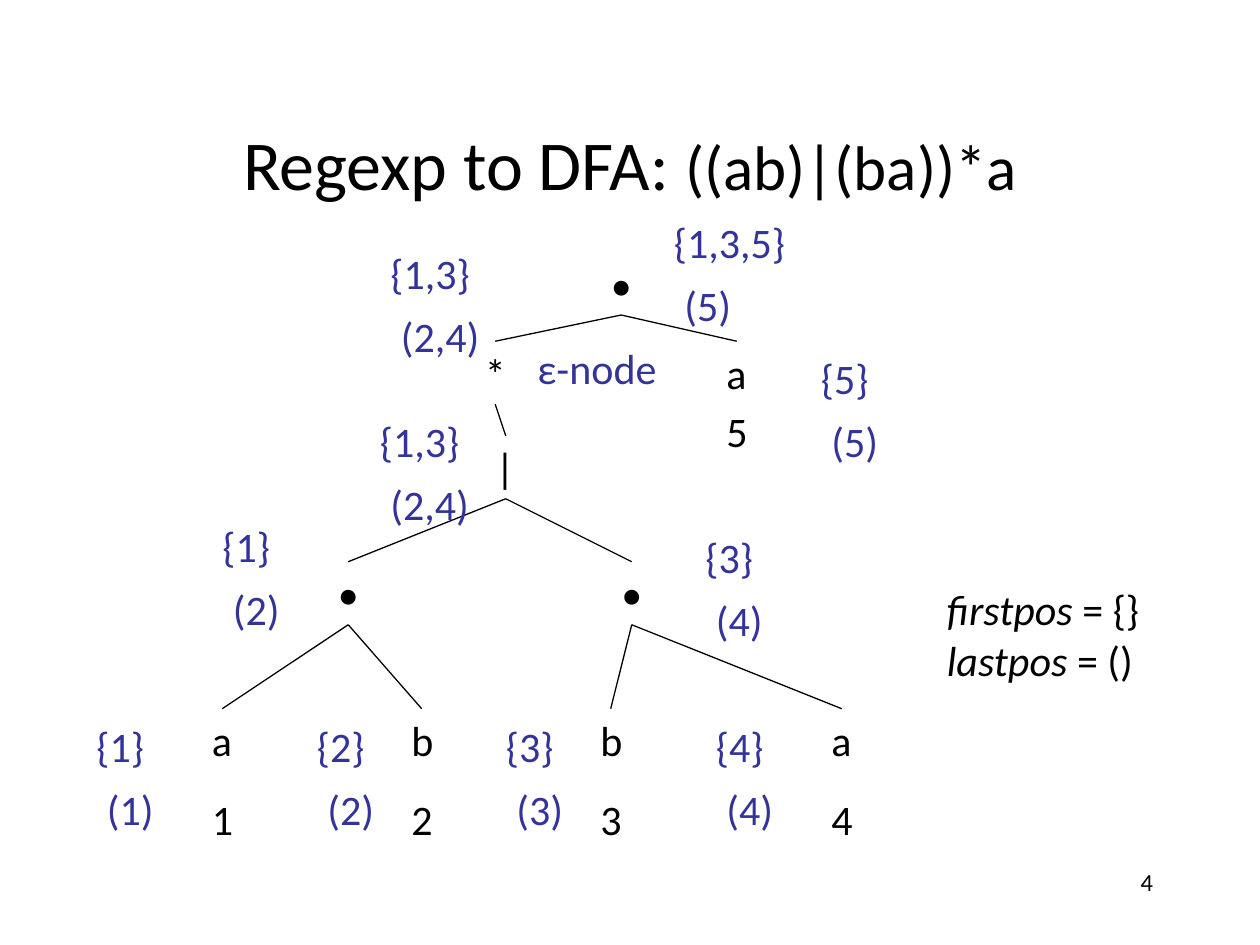
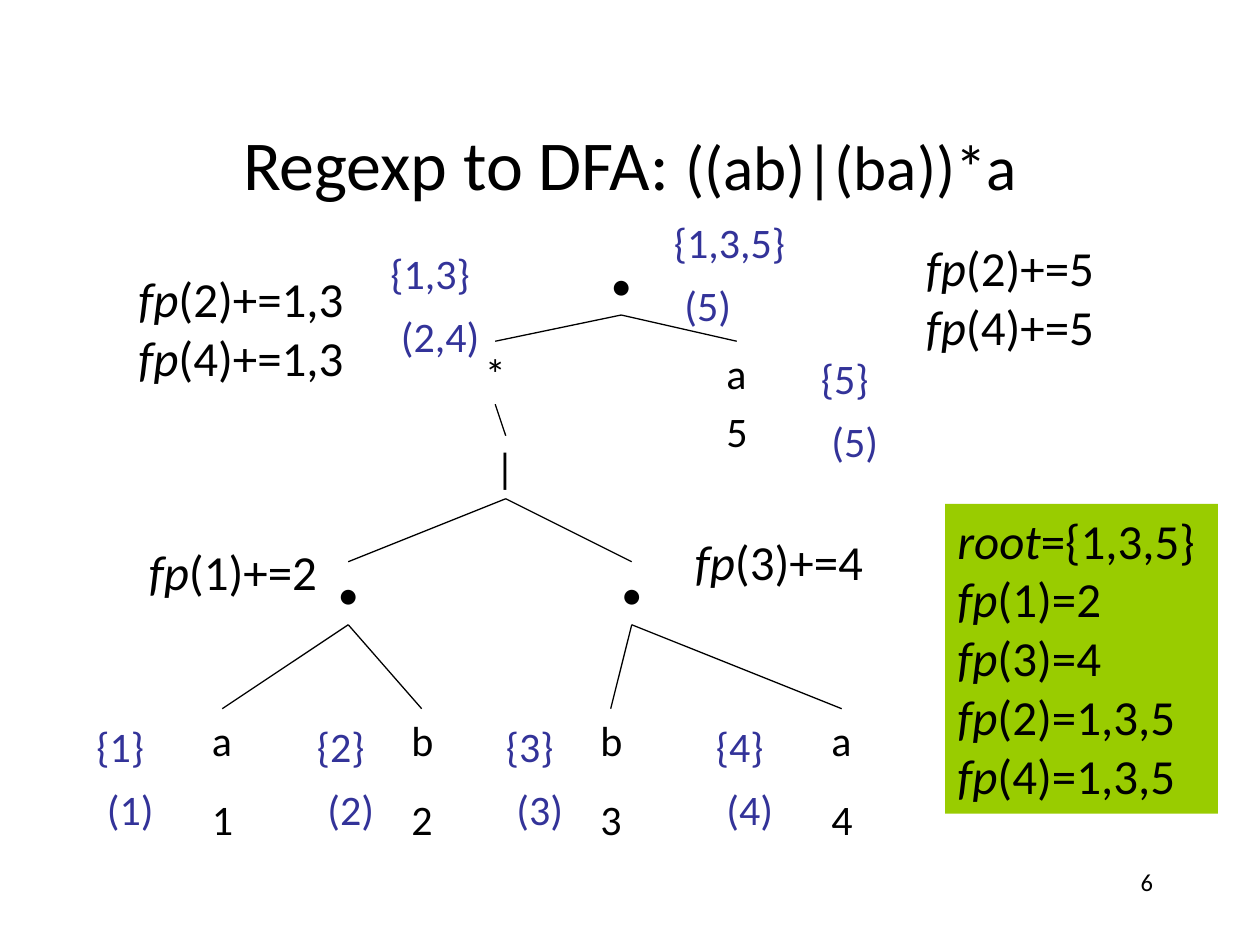
import dataclasses

import lxml.etree
import pptx
import pptx.dml.color
import pptx.enum.shapes
import pptx.enum.text
import pptx.oxml.ns
import pptx.util

Pt = pptx.util.Pt
RGBColor = pptx.dml.color.RGBColor
Align = pptx.enum.text.PP_ALIGN
Anchor = pptx.enum.text.MSO_ANCHOR
AutoSize = pptx.enum.text.MSO_AUTO_SIZE


@dataclasses.dataclass(frozen=True)
class Theme:
    font: str = "Calibri"
    ink: RGBColor = RGBColor(0x00, 0x00, 0x00)
    position: RGBColor = RGBColor(0x33, 0x33, 0x99)
    result: RGBColor = RGBColor(0x99, 0xCC, 0x00)
    title_size: int = 40
    regexp_size: int = 36
    note_size: int = 28
    tree_size: int = 24
    number_size: int = 14
    line_width: float = 0.75


NODE_WIDTH = 26
NODE_HEIGHT = 36
LEAF_TOP = 405

NODES = {
    "root": (342, 144, "•"),
    "star": (270, 195, "*"),
    "or": (276, 249, "|"),
    "ab": (186, 321, "•"),
    "ba": (348, 321, "•"),
    "leaf 1": (114, LEAF_TOP, "a"),
    "leaf 2": (228, LEAF_TOP, "b"),
    "leaf 3": (336, LEAF_TOP, "b"),
    "leaf 4": (468, LEAF_TOP, "a"),
    "leaf 5": (408, 195, "a"),
}

EDGES = [
    ("root", "star"), ("root", "leaf 5"), ("star", "or"),
    ("or", "ab"), ("or", "ba"),
    ("ab", "leaf 1"), ("ab", "leaf 2"),
    ("ba", "leaf 3"), ("ba", "leaf 4"),
]

LEAF_NUMBERS = [
    (114, 450, "1"), (228, 450, "2"), (336, 450, "3"),
    (468, 450, "4"), (408, 228, "5"),
]

SHARED_POSITIONS = [
    (48, 408, "{1}", "(1)"),
    (174, 408, "{2}", "(2)"),
    (282, 408, "{3}", "(3)"),
    (402, 408, "{4}", "(4)"),
    (462, 198, "{5}", "(5)"),
    (216, 138, "{1,3}", "(2,4)"),
    (378, 120, "{1,3,5}", "(5)"),
]

INNER_POSITIONS = [
    (120, 294, "{1}", "(2)"),
    (396, 300, "{3}", "(4)"),
    (210, 234, "{1,3}", "(2,4)"),
]

FOLLOW_NOTES = [
    ((78, 306, 114, 41), ["(1)+=2"]),
    ((390, 300, 114, 41), ["(3)+=4"]),
    ((72, 150, 138, 74), ["(2)+=1,3", "(4)+=1,3"]),
    ((522, 132, 138, 74), ["(2)+=5", "(4)+=5"]),
]


def apply(target, formats):
    for name, value in formats.items():
        setattr(target, name, value)


def follow(lines):
    return [("fp", line) for line in lines]


class Deck:
    def __init__(self, theme):
        self.theme = theme
        self.presentation = pptx.Presentation()
        apply(self.presentation, {"slide_width": Pt(720), "slide_height": Pt(540)})
        self.slide = None

    def add_run(self, paragraph, text, size, color, italic=False):
        run = paragraph.add_run()
        run.text = text
        apply(run.font, {"name": self.theme.font, "size": Pt(size), "italic": italic})
        run.font.color.rgb = color

    def start(self, number):
        layout = self.presentation.slide_layouts.get_by_name("Title Only")
        self.slide = self.presentation.slides.add_slide(layout)
        self.title("Regexp to DFA: ", "((ab)|(ba))*a")
        self.text((516, 492, 150, 36), [("", number)],
                  size=self.theme.number_size, align=Align.RIGHT)

    def title(self, heading, regexp):
        title = self.slide.shapes.title
        apply(title, {"left": Pt(54), "top": Pt(48), "width": Pt(612), "height": Pt(90)})
        title.text_frame.vertical_anchor = Anchor.MIDDLE
        paragraph = title.text_frame.paragraphs[0]
        paragraph.alignment = Align.CENTER
        self.add_run(paragraph, heading, self.theme.title_size, self.theme.ink)
        self.add_run(paragraph, regexp, self.theme.regexp_size, self.theme.ink)

    def fill_text(self, shape, lines, size, color, align):
        frame = shape.text_frame
        apply(frame, {"word_wrap": False, "auto_size": AutoSize.SHAPE_TO_FIT_TEXT,
                      "vertical_anchor": Anchor.TOP})
        for index, (italic, plain) in enumerate(lines):
            paragraph = frame.add_paragraph() if index else frame.paragraphs[0]
            paragraph.alignment = align
            if italic:
                self.add_run(paragraph, italic, size, color, italic=True)
            self.add_run(paragraph, plain, size, color)

    def text(self, box, lines, size=None, color=None, align=Align.LEFT):
        shape = self.slide.shapes.add_textbox(*map(Pt, box))
        self.fill_text(shape, lines, size or self.theme.tree_size,
                       color or self.theme.ink, align)

    def panel(self, box, lines):
        rectangle = pptx.enum.shapes.MSO_SHAPE.RECTANGLE
        shape = self.slide.shapes.add_shape(rectangle, *map(Pt, box))
        shape.shadow.inherit = False
        shape.fill.solid()
        shape.fill.fore_color.rgb = self.theme.result
        shape.line.fill.background()
        self.fill_text(shape, lines, self.theme.note_size, self.theme.ink, Align.LEFT)

    def edge(self, parent, child):
        half = NODE_WIDTH / 2
        connector = self.slide.shapes.add_connector(
            pptx.enum.shapes.MSO_CONNECTOR.STRAIGHT,
            Pt(parent[0] + half), Pt(parent[1] + NODE_HEIGHT),
            Pt(child[0] + half), Pt(child[1]))
        connector.line.color.rgb = self.theme.ink
        connector.line.width = Pt(self.theme.line_width)
        lxml.etree.SubElement(connector._element.spPr, pptx.oxml.ns.qn("a:effectLst"))

    def node(self, left, top, label):
        self.text((left, top, NODE_WIDTH, NODE_HEIGHT), [("", label)])

    def positions(self, left, top, first, last):
        for step, label in enumerate((first, last)):
            box = (left + 6 * step, top + 36 * step, 16 + 9 * len(label), 36)
            self.text(box, [("", label)], color=self.theme.position)

    def tree(self, positions):
        for node in [*NODES.values(), *LEAF_NUMBERS]:
            self.node(*node)
        for parent, child in EDGES:
            self.edge(NODES[parent], NODES[child])
        for position in positions:
            self.positions(*position)


def build_positions(deck):
    deck.start("4")
    deck.tree(SHARED_POSITIONS + INNER_POSITIONS)
    deck.text((300, 192, 83, 36), [("", "ε-node")], color=deck.theme.position)
    deck.text((534, 330, 130, 65.5), [("firstpos", " = {}"), ("lastpos", " = ()")])


def build_follow(deck):
    deck.start("6")
    deck.tree(SHARED_POSITIONS)
    results = follow(["(1)=2", "(3)=4", "(2)=1,3,5", "(4)=1,3,5"])
    deck.panel((540, 288, 156, 177), [("root", "={1,3,5}"), *results])
    for box, lines in FOLLOW_NOTES:
        deck.text(box, follow(lines), size=deck.theme.note_size)


def main():
    deck = Deck(Theme())
    build_positions(deck)
    build_follow(deck)
    deck.presentation.save("out.pptx")


if __name__ == "__main__":
    main()
